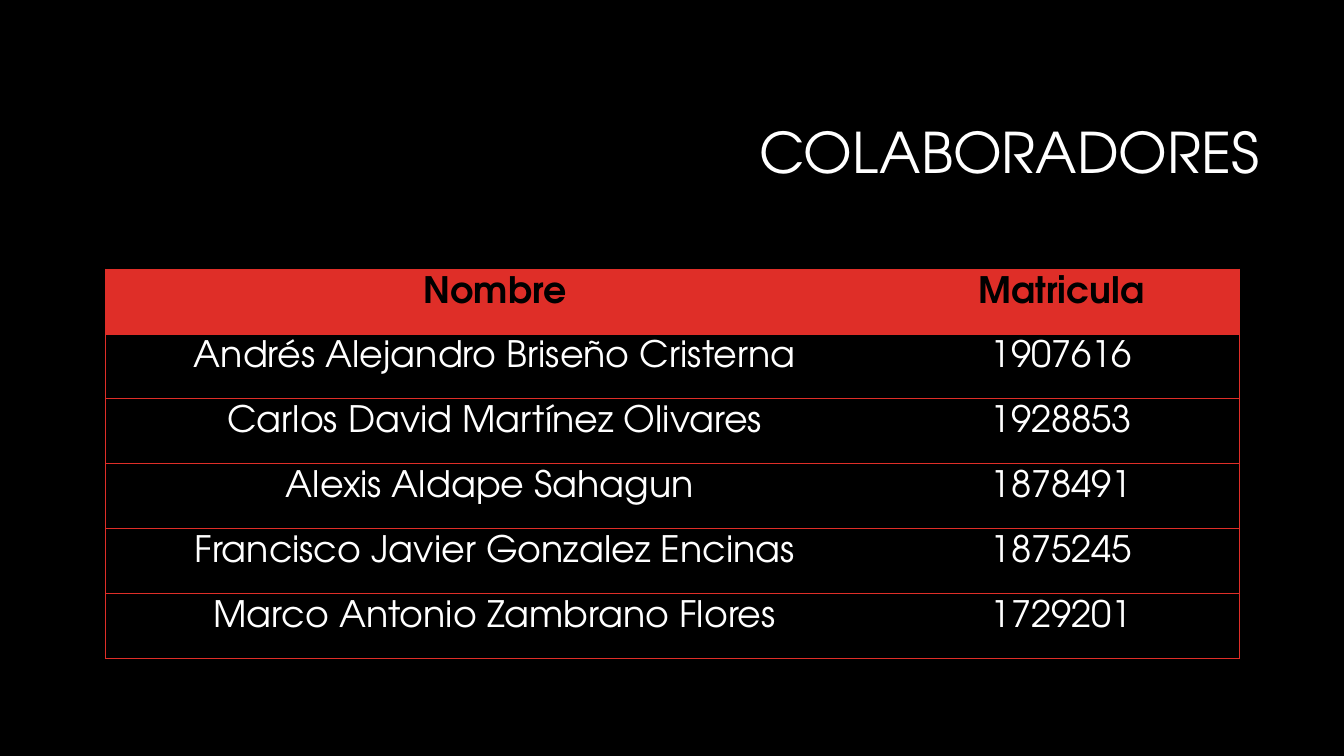
from pptx import Presentation
from pptx import util as u
from pptx.dml.color import RGBColor
from pptx.enum import text
from pptx.oxml import parse_xml
from pptx.oxml.ns import nsdecls

FONT = "TeX Gyre Adventor"
BLACK, WHITE, RED = "000000", "FFFFFF", "DF2E28"
COLUMN_WIDTHS = (7.72, 3.52)
ROW_HEIGHT = 3.86 / 6
MEMBERS = [
    ("Nombre", "Matricula"),
    ("Andrés Alejandro Briseño Cristerna", "1907616"),
    ("Carlos David Martínez Olivares", "1928853"),
    ("Alexis Aldape Sahagun ", "1878491"),
    ("Francisco Javier Gonzalez Encinas", "1875245"),
    ("Marco Antonio Zambrano Flores", "1729201"),
]


def color(value):
    return RGBColor.from_string(value)


def write(paragraph, content, size, value, align, bold=False):
    paragraph.text = content
    paragraph.alignment = align
    font = paragraph.font
    font.name, font.size, font.bold = FONT, u.Pt(size), bold
    font.color.rgb = color(value)


def add_title(slide, content):
    title = slide.shapes.add_textbox(
        u.Inches(3.17), u.Inches(0.84), u.Inches(9.42), u.Inches(1.41))
    frame = title.text_frame
    frame.word_wrap = True
    frame.vertical_anchor = text.MSO_ANCHOR.MIDDLE
    heading = frame.paragraphs[0]
    write(heading, content, 40, WHITE, text.PP_ALIGN.RIGHT)
    heading.line_spacing = 0.9


def set_border(cell, side, value):
    """Draw one side (L, R, T or B); None leaves it without a line."""
    fill = (f'<a:solidFill><a:srgbClr val="{value}"/></a:solidFill>'
            if value else "<a:noFill/>")
    cell._tc.get_or_add_tcPr().append(parse_xml(
        f'<a:ln{side} {nsdecls("a")} w="{u.Pt(0.75)}">{fill}</a:ln{side}>'))


def format_cell(cell, content, is_header, outer_side, inner_side):
    cell.margin_left = cell.margin_right = u.Inches(0.15)
    cell.margin_top = cell.margin_bottom = u.Inches(0.07)
    # Borders must come before the fill, in the order L, R, T, B
    for side in "LRTB":
        set_border(cell, side, None if side == inner_side else RED)
    if is_header:
        cell.fill.solid()
        cell.fill.fore_color.rgb = color(RED)
    else:
        cell.fill.background()
    write(cell.text_frame.paragraphs[0], content, 26,
          BLACK if is_header else WHITE, text.PP_ALIGN.CENTER, is_header)


def add_member_table(slide, members):
    members_table = slide.shapes.add_table(
        len(members), len(COLUMN_WIDTHS), u.Inches(1.05), u.Inches(2.67),
        u.Inches(sum(COLUMN_WIDTHS)),
        u.Inches(ROW_HEIGHT * len(members))).table
    members_table.horz_banding = False
    for column, width in zip(members_table.columns, COLUMN_WIDTHS):
        column.width = u.Inches(width)
    for r, member in enumerate(members):
        members_table.rows[r].height = u.Inches(ROW_HEIGHT)
        for c, content in enumerate(member):
            outer_side, inner_side = ("L", "R") if c == 0 else ("R", "L")
            format_cell(members_table.cell(r, c), content, r == 0,
                        outer_side, inner_side)


def main():
    deck = Presentation()
    deck.slide_width, deck.slide_height = u.Inches(13.33), u.Inches(7.5)
    slide = deck.slides.add_slide(deck.slide_layouts[6])

    # Background
    slide.background.fill.solid()
    slide.background.fill.fore_color.rgb = color(BLACK)

    # Title and list of members
    add_title(slide, "COLABORADORES")
    add_member_table(slide, MEMBERS)

    deck.save("out.pptx")


if __name__ == "__main__":
    main()
